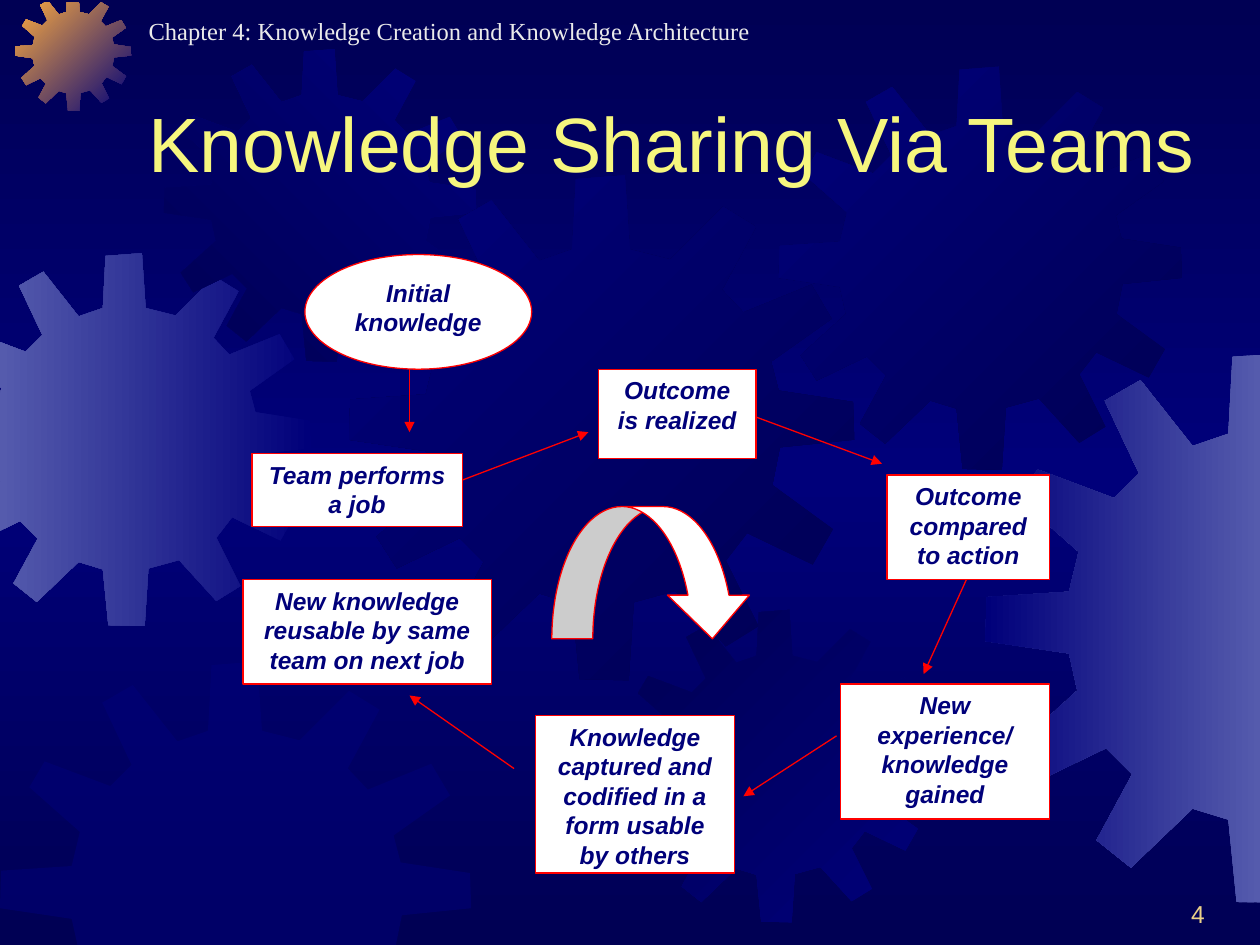
from copy import deepcopy
from dataclasses import dataclass

from lxml import etree
from pptx import Presentation
from pptx.dml.color import RGBColor
from pptx.enum.shapes import MSO_CONNECTOR, MSO_SHAPE
from pptx.enum.text import MSO_ANCHOR, PP_ALIGN
from pptx.oxml.ns import qn
from pptx.util import Inches, Pt

RECTANGLE, ELLIPSE = MSO_SHAPE.RECTANGLE, MSO_SHAPE.OVAL
CURVED_ARROW = MSO_SHAPE.CURVED_DOWN_ARROW
STRAIGHT = MSO_CONNECTOR.STRAIGHT
TOP, BOTTOM = MSO_ANCHOR.TOP, MSO_ANCHOR.BOTTOM
LEFT, CENTER, RIGHT = PP_ALIGN.LEFT, PP_ALIGN.CENTER, PP_ALIGN.RIGHT


@dataclass(frozen=True)
class Theme:
    deep: str = "000054"
    navy: str = "00007A"
    steel: str = "555BAD"
    orange: str = "FCAB40"
    paper: str = "FFFFFF"
    red: str = "FF0000"
    chapter: str = "EAEAEA"
    title: str = "F6F67E"
    number: str = "EBD189"
    sans: str = "Arial"
    serif: str = "Times New Roman"
    title_size: int = 44
    text_size: int = 14
    line_width: float = 0.75


THEME = Theme()
WIDTH, HEIGHT = 10, 7.5

# Twelve-toothed gear, drawn in a square of side GEAR_SIDE
GEAR_SIDE = 4.01
GEAR = [
    (2.55, 0.67), (2.23, 0.59), (2.19, 0), (1.8, 0.03), (1.77, 0.59), (1.51, 0.68),
    (1.13, 0.2), (0.87, 0.35), (1.12, 0.88), (0.94, 1.06), (0.38, 0.85), (0.25, 1.07),
    (0.68, 1.45), (0.61, 1.74), (0.01, 1.78), (0, 2.1), (0.61, 2.19), (0.67, 2.46),
    (0.22, 2.87), (0.38, 3.12), (0.88, 2.88), (1.07, 3.07), (0.81, 3.55), (1.06, 3.75),
    (1.51, 3.32), (1.77, 3.4), (1.83, 4), (2.22, 4.01), (2.26, 3.39), (2.59, 3.3),
    (2.99, 3.74), (3.25, 3.58), (2.99, 3.06), (3.16, 2.84), (3.68, 3.09), (3.84, 2.81),
    (3.36, 2.46), (3.42, 2.16), (4.01, 2.1), (4, 1.8), (3.41, 1.71), (3.35, 1.48),
    (3.83, 1.14), (3.67, 0.87), (3.13, 1.09), (2.96, 0.91), (3.23, 0.41), (2.97, 0.25),
]

# Left, top, side, first colour, last colour, clockwise angle
GEARS = [
    (-0.49, 2.01, 2.96, THEME.navy, THEME.steel, 180),
    (0.12, -0.04, 0.92, THEME.navy, THEME.orange, 225),
    (1.3, 0.39, 2.48, THEME.navy, THEME.deep, 135),
    (2.77, 1.39, 4.01, THEME.deep, THEME.navy, 225),
    (0, 5.25, 3.74, THEME.navy, None, 0),
    (4.91, 4.84, 2.48, THEME.navy, THEME.deep, 225),
    (6.18, 0.53, 3.2, THEME.deep, THEME.navy, 225),
    (7.82, 2.8, 4.37, THEME.steel, THEME.navy, 180),
]

STEPS = [
    (ELLIPSE, (2.42, 2.02, 1.8, 0.91), ["Initial knowledge"]),
    (RECTANGLE, (2, 3.6, 1.67, 0.58), ["Team performs", "a job"]),
    (RECTANGLE, (4.75, 2.93, 1.25, 0.71), ["Outcome is realized"]),
    (RECTANGLE, (7.04, 3.77, 1.29, 0.83), ["Outcome compared to action"]),
    (RECTANGLE, (6.67, 5.43, 1.66, 1.07), ["New experience/ knowledge gained"]),
    (RECTANGLE, (4.25, 5.68, 1.58, 1.25),
     ["Knowledge captured and codified in a form usable by others"]),
    (RECTANGLE, (1.93, 4.6, 1.97, 0.83),
     ["New knowledge reusable by same team on next job"]),
]

ARROWS = [
    (3.25, 2.93, 3.25, 3.43), (3.67, 3.81, 4.67, 3.43), (6, 3.31, 7, 3.68),
    (7.67, 4.6, 7.33, 5.35), (6.64, 5.84, 5.9, 6.32), (4.08, 6.1, 3.25, 5.52),
]


def clip(points, axis, limit, sign):
    """Keep the part of a polygon where sign * (coordinate - limit) >= 0."""
    kept = []
    for start, end in zip(points, points[1:] + points[:1]):
        before, after = (sign * (point[axis] - limit) for point in (start, end))
        if before >= 0:
            kept.append(start)
        if before * after < 0:
            share = before / (before - after)
            kept.append(tuple(a + share * (b - a) for a, b in zip(start, end)))
    return kept


class SlideBuilder:
    def __init__(self, page, theme):
        self.page, self.theme = page, theme

    def gradient(self, fill, first, last, angle):
        fill.gradient()
        fill.gradient_angle = (360 - angle) % 360
        for stop, position, color in zip(fill.gradient_stops, (0, 1), (first, last)):
            stop.position = position
            stop.color.rgb = RGBColor.from_string(color)

    def background(self, edge, middle):
        self.gradient(self.page.background.fill, edge, middle, 90)
        stops = next(self.page.element.iter(qn("a:gsLst")))
        stops.append(deepcopy(stops[0]))
        for stop, position in zip(stops, (0, 50000, 100000)):
            stop.set("pos", str(position))

    def gear(self, left, top, side, first, last, angle):
        """Add a gear cut at the slide edges; without a last colour it is half clear."""
        scale = side / GEAR_SIDE
        points = [(left + x * scale, top + y * scale) for x, y in GEAR]
        for axis, limit, sign in ((0, 0, 1), (1, 0.02, 1), (0, WIDTH, -1), (1, HEIGHT, -1)):
            points = clip(points, axis, limit, sign)
        corners = [(Inches(x), Inches(y)) for x, y in points]
        outline = self.page.shapes.build_freeform(*corners[0])
        outline.add_line_segments(corners[1:], close=True)
        gear = outline.convert_to_shape()
        gear.shadow.inherit = False
        gear.line.fill.background()
        if last:
            self.gradient(gear.fill, first, last, angle)
        else:
            gear.fill.solid()
            gear.fill.fore_color.rgb = RGBColor.from_string(first)
            color = next(gear.element.spPr.iter(qn("a:srgbClr")))
            etree.SubElement(color, qn("a:alpha"), val="50000")

    def put_text(self, box, lines, color, size, font, align=LEFT, anchor=TOP, strong=False):
        frame = box.text_frame
        frame.word_wrap = True
        frame.vertical_anchor = anchor
        for index, line in enumerate(lines):
            para = frame.add_paragraph() if index else frame.paragraphs[0]
            para.alignment = align
            span = para.add_run()
            span.text = line
            span.font.name, span.font.size = font, Pt(size)
            span.font.bold = span.font.italic = strong
            span.font.color.rgb = RGBColor.from_string(color)

    def label(self, place, text, color, size, font, indent=0.1, **layout):
        box = self.page.shapes.add_textbox(*map(Inches, place))
        box.text_frame.margin_left = Inches(indent)
        self.put_text(box, [text], color, size, font, **layout)

    def outline(self, line):
        line.color.rgb = RGBColor.from_string(self.theme.red)
        line.width = Pt(self.theme.line_width)

    def shape(self, kind, place):
        shape = self.page.shapes.add_shape(kind, *map(Inches, place))
        shape.shadow.inherit = False
        shape.fill.solid()
        shape.fill.fore_color.rgb = RGBColor.from_string(self.theme.paper)
        self.outline(shape.line)
        return shape

    def step(self, kind, place, lines):
        theme = self.theme
        self.put_text(self.shape(kind, place), lines, theme.navy, theme.text_size,
                      theme.sans, align=CENTER, strong=True)

    def arrow(self, ends):
        arrow = self.page.shapes.add_connector(STRAIGHT, *map(Inches, ends))
        self.outline(arrow.line)
        properties = arrow.element.spPr
        etree.SubElement(properties.find(qn("a:ln")), qn("a:tailEnd"), type="triangle")
        etree.SubElement(properties, qn("a:effectLst"))

    def cycle_arrow(self, place, proportions):
        arrow = self.shape(CURVED_ARROW, place)
        for index, value in enumerate(proportions):
            arrow.adjustments[index] = value


def main():
    deck = Presentation()
    deck.slide_width, deck.slide_height = Inches(WIDTH), Inches(HEIGHT)
    builder = SlideBuilder(deck.slides.add_slide(deck.slide_layouts[6]), THEME)
    builder.background(THEME.deep, THEME.navy)
    for gear in GEARS:
        builder.gear(*gear)
    builder.label((0.08, 0.08, 7.17, 0.34),
                  "Chapter 4: Knowledge Creation and Knowledge Architecture",
                  THEME.chapter, THEME.text_size, THEME.serif, indent=1.1)
    builder.label((1.08, 0.6, 8.92, 0.94), "Knowledge Sharing Via Teams",
                  THEME.title, THEME.title_size, THEME.sans, anchor=BOTTOM)
    for step in STEPS:
        builder.step(*step)
    for ends in ARROWS:
        builder.arrow(ends)
    builder.cycle_arrow((4.38, 4.02, 1.6, 1.05), (0.31, 0.62, 0.33))
    builder.label((7.58, 6.92, 2.08, 0.5), "4", THEME.number, THEME.text_size,
                  THEME.sans, align=RIGHT, anchor=BOTTOM)
    deck.save("out.pptx")


if __name__ == "__main__":
    main()
